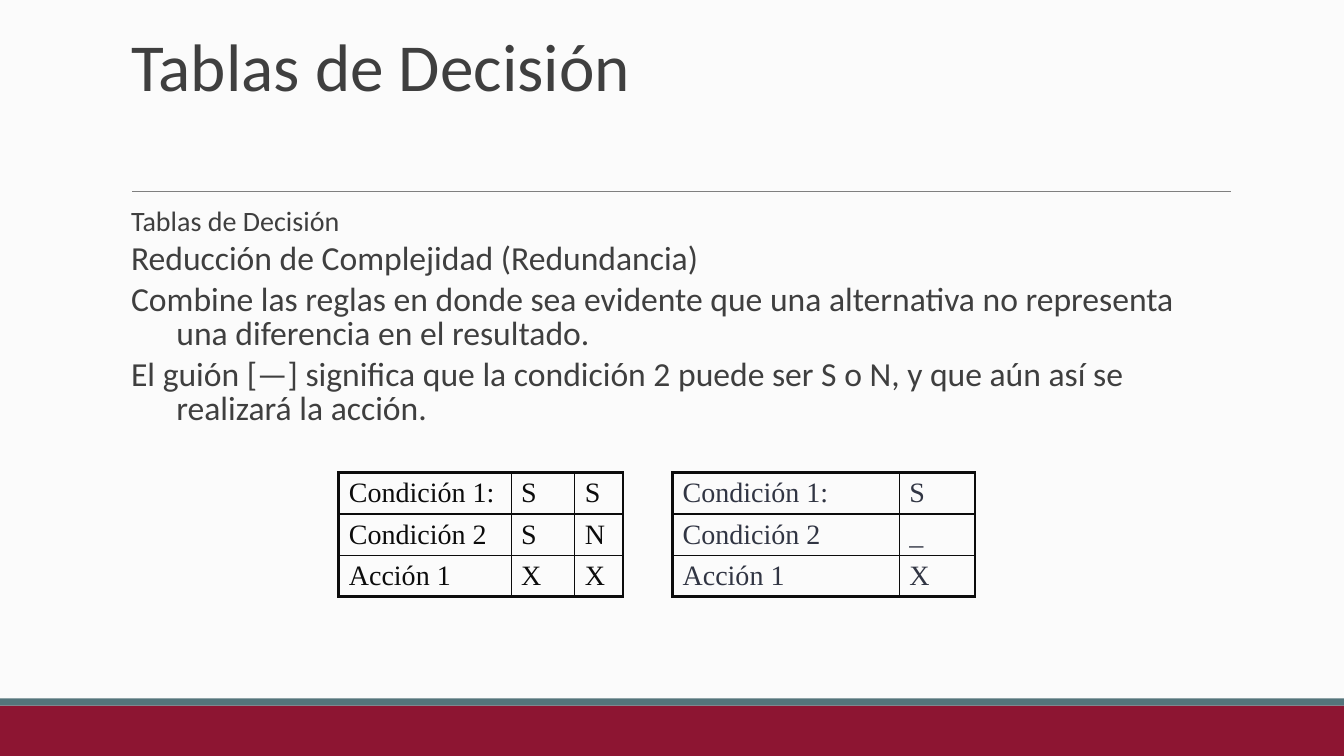
import pptx
import pptx.util
import pptx.dml.color
import pptx.enum.shapes
import pptx.enum.text
import lxml.etree

Inches, Pt = pptx.util.Inches, pptx.util.Pt

BACKGROUND, TEXT, INK = "FBFBFB", "3F3F3F", "0C0C0C"
HEADING = "Tablas de Decisión\v"
HEADING_BOX = (1.2, 0.31, 11, 1.59)
BODY_BOX = (1.2, 2.02, 10.87, 2.2)
STATEMENTS = [
    ("Tablas de Decisión", 0, 20, 0.07, 0),
    ("Reducción de Complejidad (Redundancia)", 1, 24, 0.28, 4.5),
    ("Combine las reglas en donde sea evidente que una alternativa no representa "
     "una diferencia en el resultado.", 2, 24, 0.45, 4.5),
    ("El guión [—] significa que la condición 2 puede ser S o N, y que aún así se "
     "realizará la acción.", 2, 24, 0.45, 4.5),
]
FOOTER_BANDS = [((0, 7, 13.33, 0.5), "8D1532"), ((0, 6.93, 13.33, 0.07), "54747B")]
RULE = (1.31, 1.9, 12.21, 1.9)
DECISIONS = [
    {"left": 3.36, "widths": [1.71, 0.63, 0.48], "color": INK,
     "rows": [("Condición 1:", "S", "S"), ("Condición 2", "S", "N"), ("Acción 1", "X", "X")]},
    {"left": 6.67, "widths": [2.25, 0.75], "color": "313543",
     "rows": [("Condición 1:", "S"), ("Condición 2", "_"), ("Acción 1", "X")]},
]
DECISION_TOP, ROW_HEIGHT = 4.69, 0.41
OUTER, INNER = 2.25, 1


def rgb(value):
    return pptx.dml.color.RGBColor.from_string(value)


def apply(target, values):
    for key, value in values.items():
        setattr(target, key, value)


def place(target, box):
    apply(target, dict(zip(("left", "top", "width", "height"), map(Inches, box))))


def style_font(font, name, size, color):
    apply(font, {"name": name, "size": Pt(size)})
    font.color.rgb = rgb(color)


def child(parent, tag, **attributes):
    return lxml.etree.SubElement(parent, pptx.oxml.ns.qn(tag), attributes)


def border(cell, side, points):
    line = child(cell._tc.get_or_add_tcPr(), "a:ln" + side, w=str(Pt(points)))
    child(child(line, "a:solidFill"), "a:srgbClr", val=INK)


def add_heading(title):
    place(title, HEADING_BOX)
    frame = title.text_frame
    frame.text = HEADING
    apply(frame, {"vertical_anchor": pptx.enum.text.MSO_ANCHOR.MIDDLE,
                  "auto_size": pptx.enum.text.MSO_AUTO_SIZE.NONE})
    line = frame.paragraphs[0]
    apply(line, {"line_spacing": 0.85, "alignment": pptx.enum.text.PP_ALIGN.LEFT})
    style_font(line.runs[0].font, "Calibri", 48, TEXT)
    line._p.get_or_add_endParaRPr().set("sz", "4800")


def add_statements(body):
    place(body, BODY_BOX)
    frame = body.text_frame
    frame.auto_size = pptx.enum.text.MSO_AUTO_SIZE.NONE
    frame.text = "\n".join(statement[0] for statement in STATEMENTS)
    for line, (_, level, size, indent, before) in zip(frame.paragraphs, STATEMENTS):
        apply(line, {"level": level, "line_spacing": 0.85,
                     "space_before": Pt(before), "space_after": Pt(0)})
        style_font(line.runs[0].font, "Calibri", size, TEXT)
        properties = line._p.get_or_add_pPr()
        properties.set("marL", str(Inches(indent)))
        properties.set("indent", str(-Inches(indent)))
        child(properties, "a:buNone")


def add_decision(slide, decision):
    rows, widths = decision["rows"], decision["widths"]
    table = slide.shapes.add_table(
        len(rows), len(widths), Inches(decision["left"]), Inches(DECISION_TOP),
        Inches(sum(widths)), Inches(ROW_HEIGHT * len(rows))).table
    apply(table, {"first_row": False, "horz_banding": False})
    for column, width in zip(table.columns, widths):
        column.width = Inches(width)
    for r, row in enumerate(rows):
        table.rows[r].height = Inches(ROW_HEIGHT)
        for c, entry in enumerate(row):
            cell = table.cell(r, c)
            cell.text = entry
            style_font(cell.text_frame.paragraphs[0].runs[0].font,
                       "Times New Roman", 20, decision["color"])
            edges = {"L": c == 0, "R": c == len(row) - 1, "T": r == 0, "B": r == len(rows) - 1}
            for side, outside in edges.items():
                border(cell, side, OUTER if outside else INNER)
            cell.fill.background()


def main():
    deck = pptx.Presentation()
    apply(deck, {"slide_width": Inches(13.33), "slide_height": Inches(7.5)})
    slide = deck.slides.add_slide(deck.slide_layouts[1])
    slide.background.fill.solid()
    slide.background.fill.fore_color.rgb = rgb(BACKGROUND)

    for box, color in FOOTER_BANDS:
        band = slide.shapes.add_shape(pptx.enum.shapes.MSO_SHAPE.RECTANGLE, *map(Inches, box))
        band.shadow.inherit = False
        band.fill.solid()
        band.fill.fore_color.rgb = rgb(color)
        band.line.fill.background()

    rule = slide.shapes.add_connector(pptx.enum.shapes.MSO_CONNECTOR.STRAIGHT, *map(Inches, RULE))
    rule.line.width = Pt(0.75)
    rule.line.color.rgb = rgb("7F7F7F")
    child(rule._element.spPr, "a:effectLst")

    add_heading(slide.shapes.title)
    add_statements(slide.placeholders[1])
    for decision in DECISIONS:
        add_decision(slide, decision)
    deck.save("out.pptx")


if __name__ == "__main__":
    main()
